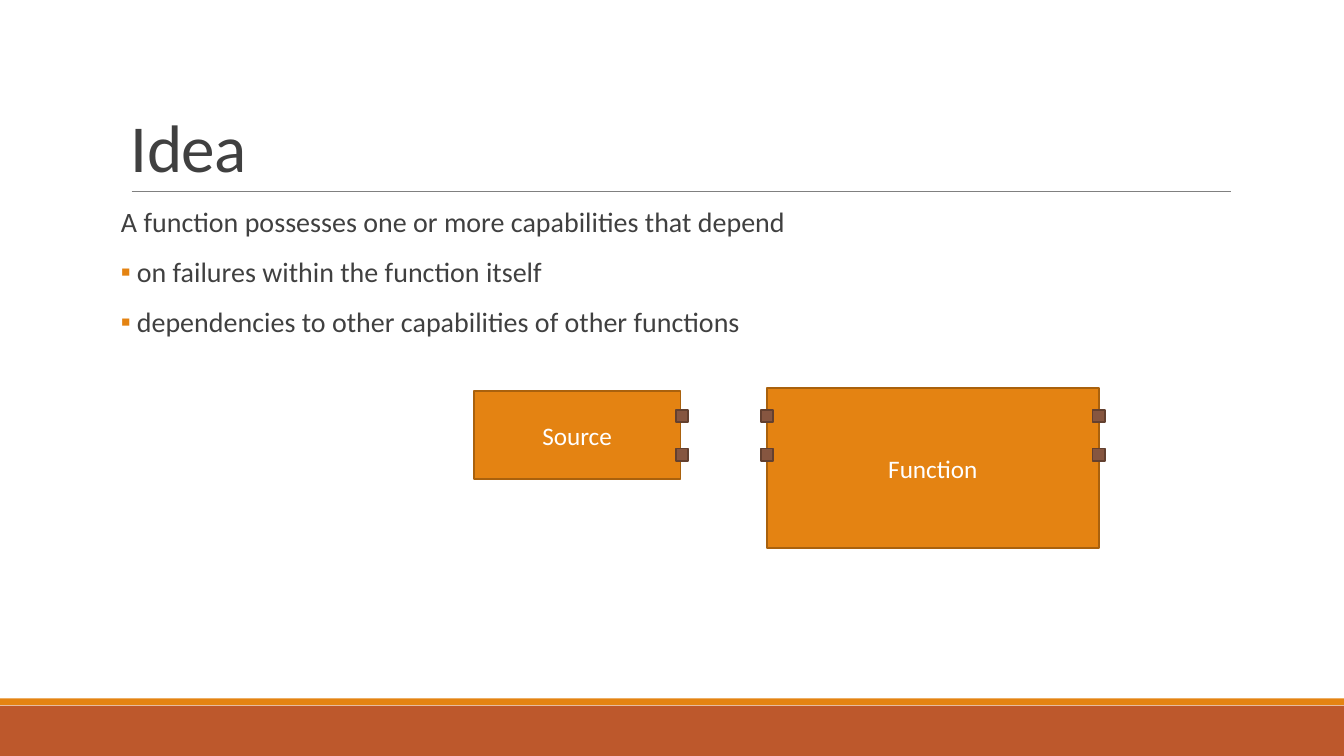
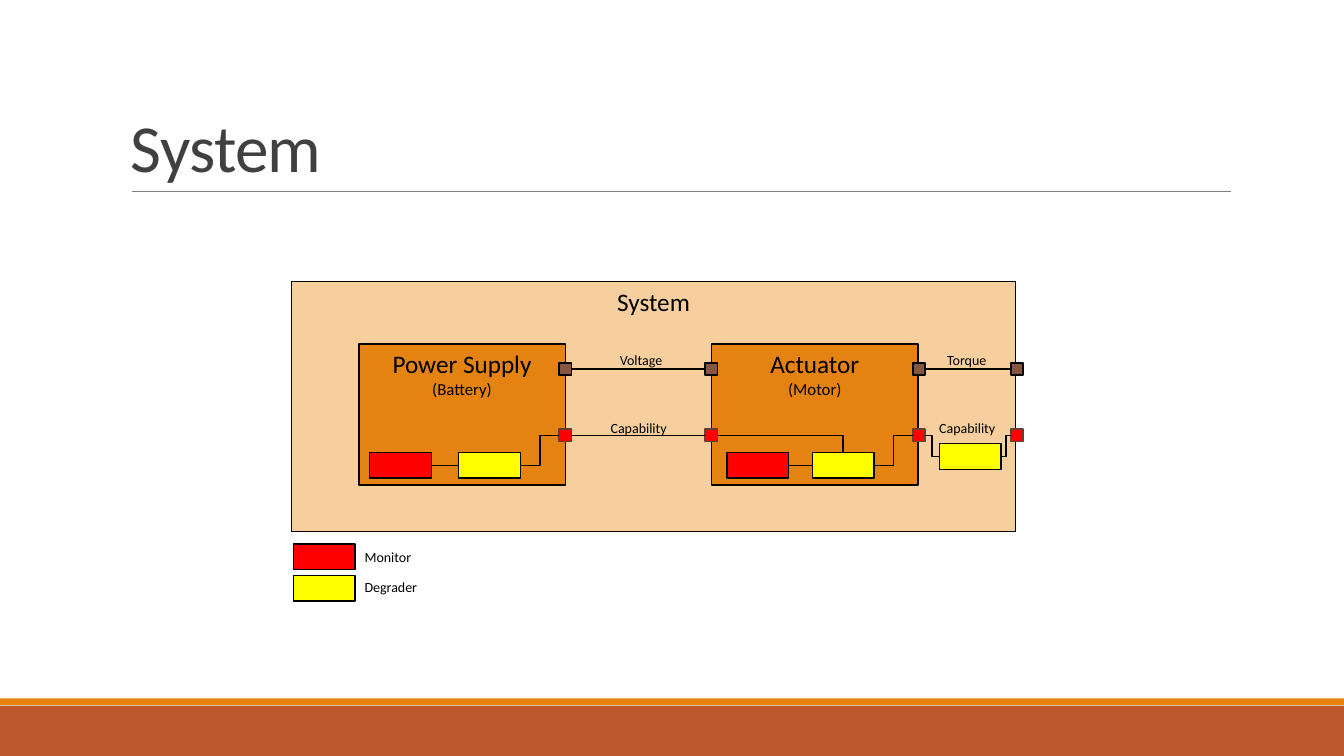
from dataclasses import dataclass, field
from enum import IntEnum
from itertools import product
from typing import Any, NamedTuple

from lxml.etree import SubElement
from pptx import Presentation
from pptx.dml.color import RGBColor
from pptx.enum.shapes import MSO_CONNECTOR, MSO_SHAPE
from pptx.enum.text import MSO_ANCHOR, PP_ALIGN
from pptx.oxml.ns import qn
from pptx.shapes.autoshape import Shape
from pptx.shapes.connector import Connector
from pptx.slide import Slide
from pptx.util import Cm, Pt


# Theme
@dataclass(frozen=True)
class Theme:
    font: str = "Calibri"
    ink: str = "404040"
    black: str = "000000"
    white: str = "FFFFFF"
    rule: str = "808080"
    orange: str = "E48312"
    rust: str = "BD582C"
    edge: str = "A9610D"
    sand: str = "F7CE9D"
    brown: str = "865640"
    bark: str = "63402F"
    red: str = "FF0000"
    yellow: str = "FFFF00"
    title: float = 48
    body: float = 20
    head: float = 18
    sub: float = 12
    label: float = 10
    thin: float = 1
    thick: float = 1.25


T = Theme()
PORT = 0.31             # side of a port
CELL = (1.56, 0.65)     # width and height of a monitor or degrader


# Parts of a slide; places and sizes in centimetres
class Line(NamedTuple):
    text: str
    size: float
    color: str
    form: dict[str, Any] = {}
    mark: bool = False


@dataclass
class Box:
    x: float
    y: float
    w: float
    h: float
    fill: str
    edge: str = ""
    width: float = T.thick
    lines: list[Line] = field(default_factory=list)
    anchor: MSO_ANCHOR = MSO_ANCHOR.TOP


class Label(NamedTuple):
    text: str
    x: float
    y: float
    w: float


class Side(IntEnum):
    TOP = 0
    LEFT = 1
    RIGHT = 3


class Wire(NamedTuple):
    start: Any
    end: Any
    bent: bool = False
    side: Side = Side.LEFT


MID = {"alignment": PP_ALIGN.CENTER}
LIST = {"line_spacing": 0.9, "space_before": Pt(12), "space_after": Pt(2)}


# Drawing tools
def apply(thing: Any, values: dict[str, Any]) -> None:
    for name, value in values.items():
        setattr(thing, name, value)


def tint(color: str) -> RGBColor:
    return RGBColor.from_string(color)


def bullet(para: Any) -> None:
    props = para._p.get_or_add_pPr()
    props.set("marL", str(Cm(0.4)))
    props.set("indent", str(-Cm(0.4)))
    SubElement(SubElement(props, qn("a:buClr")), qn("a:srgbClr"), val=T.orange)
    SubElement(props, qn("a:buFont"), typeface=T.font)
    SubElement(props, qn("a:buChar"), char="▪")


def write(shape: Shape, lines: list[Line], form: dict[str, Any]) -> None:
    frame = shape.text_frame
    apply(frame, form)
    for i, line in enumerate(lines):
        para = frame.add_paragraph() if i else frame.paragraphs[0]
        apply(para, line.form)
        if line.mark:
            bullet(para)
        run = para.add_run()
        run.text = line.text
        apply(run.font, {"name": T.font, "size": Pt(line.size)})
        run.font.color.rgb = tint(line.color)


def draw_box(slide: Slide, box: Box) -> Shape:
    place = map(Cm, (box.x, box.y, box.w, box.h))
    shape = slide.shapes.add_shape(MSO_SHAPE.RECTANGLE, *place)
    shape.shadow.inherit = False
    shape.fill.solid()
    shape.fill.fore_color.rgb = tint(box.fill)
    if box.edge:
        shape.line.color.rgb = tint(box.edge)
        shape.line.width = Pt(box.width)
    else:
        shape.line.fill.background()
    if box.lines:
        write(shape, box.lines,
              {"word_wrap": True, "vertical_anchor": box.anchor})
    return shape


def draw_port(slide: Slide, x: float, y: float, fill: str, edge: str) -> Shape:
    half = PORT / 2
    return draw_box(slide, Box(x - half, y - half, PORT, PORT, fill, edge))


def draw_text(slide: Slide, place: tuple[float, ...], lines: list[Line],
              form: dict[str, Any]) -> Shape:
    shape = slide.shapes.add_textbox(*map(Cm, place))
    write(shape, lines, form)
    return shape


def draw_line(slide: Slide, ends: tuple[float, ...], color: str, width: float,
              kind: MSO_CONNECTOR = MSO_CONNECTOR.STRAIGHT) -> Connector:
    line = slide.shapes.add_connector(kind, *map(Cm, ends))
    line.line.color.rgb = tint(color)
    line.line.width = Pt(width)
    SubElement(line._element.spPr, qn("a:effectLst"))
    return line


def draw_wire(slide: Slide, wire: Wire, parts: dict[Any, Shape]) -> None:
    kind = MSO_CONNECTOR.ELBOW if wire.bent else MSO_CONNECTOR.STRAIGHT
    line = draw_line(slide, (0, 0, 0, 0), T.black, T.thin, kind)
    line.begin_connect(parts[wire.start], Side.RIGHT)
    line.end_connect(parts[wire.end], wire.side)
    if wire.side == Side.TOP:
        shape = line._element.spPr.find(qn("a:prstGeom"))
        shape.set("prst", "bentConnector2")


# Shared frame: bands, rule and title
def start(deck: Any, title: str) -> Slide:
    slide = deck.slides.add_slide(deck.slide_layouts[6])
    draw_box(slide, Box(0, 17.78, 33.87, 1.27, T.rust))
    draw_box(slide, Box(0, 17.6, 33.87, 0.17, T.orange))
    draw_line(slide, (3.32, 4.83, 31.02, 4.83), T.rule, 0.5)
    head = draw_text(slide, (3.05, 0.8, 27.94, 4.03),
                     [Line(title, T.title, T.ink, {"line_spacing": 0.85})],
                     {"word_wrap": True, "vertical_anchor": MSO_ANCHOR.BOTTOM})
    run = head.text_frame.paragraphs[0].runs[0]
    run.font._element.set("spc", "-50")
    return slide


# Slide 1: a source and a function with ports
def draw_idea(deck: Any) -> None:
    slide = start(deck, "Idea")
    points = [("A function possesses one or more capabilities that depend", False),
              ("on failures within the function itself", True),
              ("dependencies to other capabilities of other functions", True)]
    draw_text(slide, (3.05, 5.13, 27.94, 11.18),
              [Line(text, T.body, T.ink, LIST, mark) for text, mark in points],
              {"word_wrap": True, "margin_left": 0, "margin_right": 0})
    for name, *place in (("Function", 19.33, 9.78, 8.36, 4.04),
                         ("Source", 11.94, 9.86, 5.21, 2.21)):
        draw_box(slide, Box(*place, T.orange, T.edge,
                            lines=[Line(name, T.head, T.white, MID)],
                            anchor=MSO_ANCHOR.MIDDLE))
    for x, y in product((17.19, 19.33, 27.69), (10.49, 11.46)):
        draw_port(slide, x, y, T.brown, T.bark)


# Slide 2: power supply and actuator inside a system
def draw_system(deck: Any) -> None:
    slide = start(deck, "System")
    draw_box(slide, Box(7.34, 7.09, 18.26, 6.3, T.sand, T.black, T.thin,
                        [Line("System", T.head, T.black, MID)]))
    for name, kind, x in (("Power Supply", "(Battery)", 9.04),
                          ("Actuator", "(Motor)", 17.93)):
        draw_box(slide, Box(x, 8.66, 5.21, 3.56, T.orange, T.black,
                            lines=[Line(name, T.head, T.black, MID),
                                   Line(kind, T.sub, T.black, MID)]))

    # Ports: one row for power, one for capability
    parts: dict[Any, Shape] = {}
    spots = {"supply": 14.25, "input": 17.93, "output": 23.16, "exit": 25.63}
    rows = {"power": (9.3, T.brown, T.black), "able": (10.97, T.red, T.bark)}
    for (row, (y, fill, edge)), (spot, x) in product(rows.items(), spots.items()):
        parts[row, spot] = draw_port(slide, x, y, fill, edge)

    # Monitors and degraders, with their legend
    cells = {"watch1": (9.32, 11.4, T.red), "limit1": (11.56, 11.4, T.yellow),
             "watch2": (18.32, 11.4, T.red), "limit2": (20.47, 11.4, T.yellow),
             "limit3": (23.67, 11.18, T.yellow),
             "key1": (7.39, 13.71, T.red), "key2": (7.39, 14.5, T.yellow)}
    for name, (x, y, fill) in cells.items():
        parts[name] = draw_box(slide, Box(x, y, *CELL, fill, T.black, T.thin))

    # Wires run from a right side to a left side or a top
    for wire in (Wire(("power", "supply"), ("power", "input")),
                 Wire(("power", "output"), ("power", "exit")),
                 Wire(("able", "supply"), ("able", "input")),
                 Wire("watch1", "limit1"),
                 Wire("limit1", ("able", "supply"), True),
                 Wire("watch2", "limit2"),
                 Wire("limit2", ("able", "output"), True),
                 Wire(("able", "input"), "limit2", True, Side.TOP),
                 Wire(("able", "output"), "limit3", True),
                 Wire("limit3", ("able", "exit"), True)):
        draw_wire(slide, wire, parts)

    # Labels
    for label in (Label("Voltage", 15.37, 8.74, 1.63),
                  Label("Torque", 23.62, 8.74, 1.55),
                  Label("Capability", 15.14, 10.44, 1.93),
                  Label("Capability", 23.42, 10.44, 1.93),
                  Label("Monitor", 8.94, 13.69, 1.7),
                  Label("Degrader", 8.94, 14.46, 1.85)):
        draw_text(slide, (label.x, label.y, label.w, 0.68),
                  [Line(label.text, T.label, T.black)], {"word_wrap": False})


deck = Presentation()
apply(deck, {"slide_width": Cm(33.87), "slide_height": Cm(19.05)})
draw_idea(deck)
draw_system(deck)
deck.save("out.pptx")
